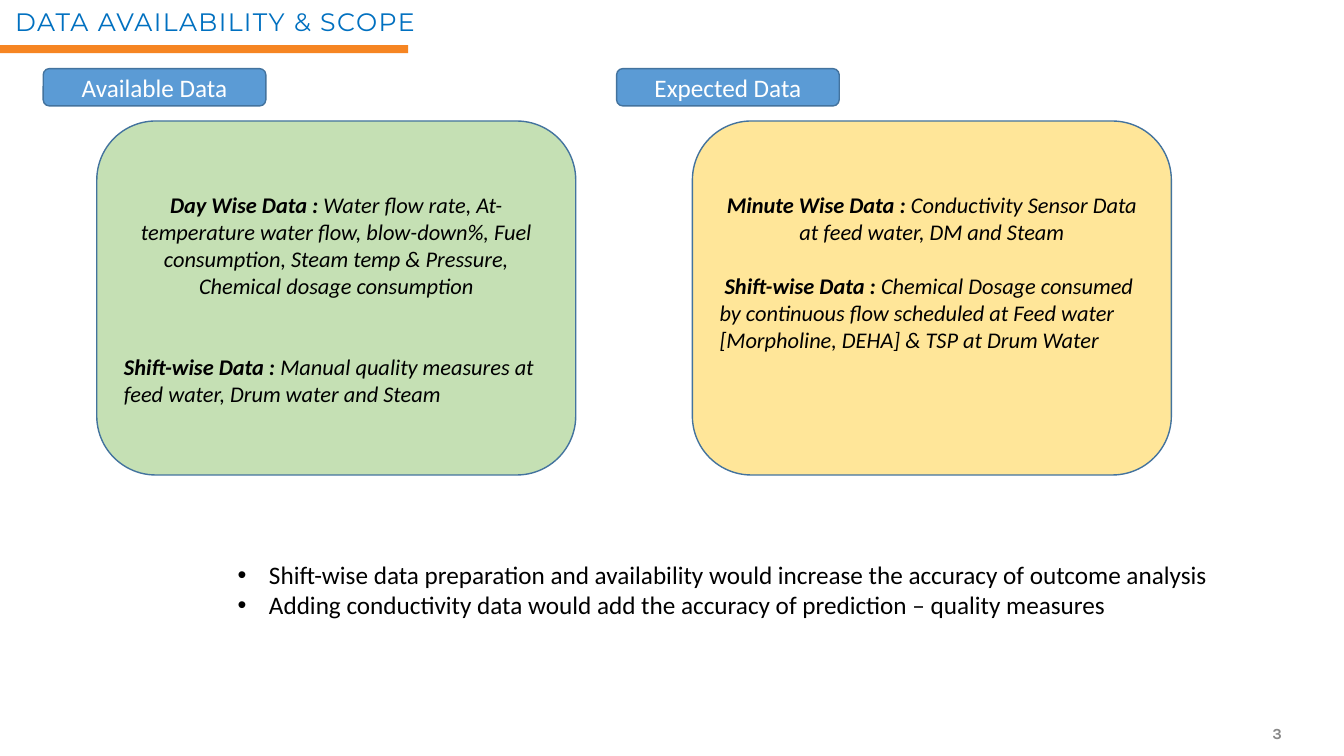
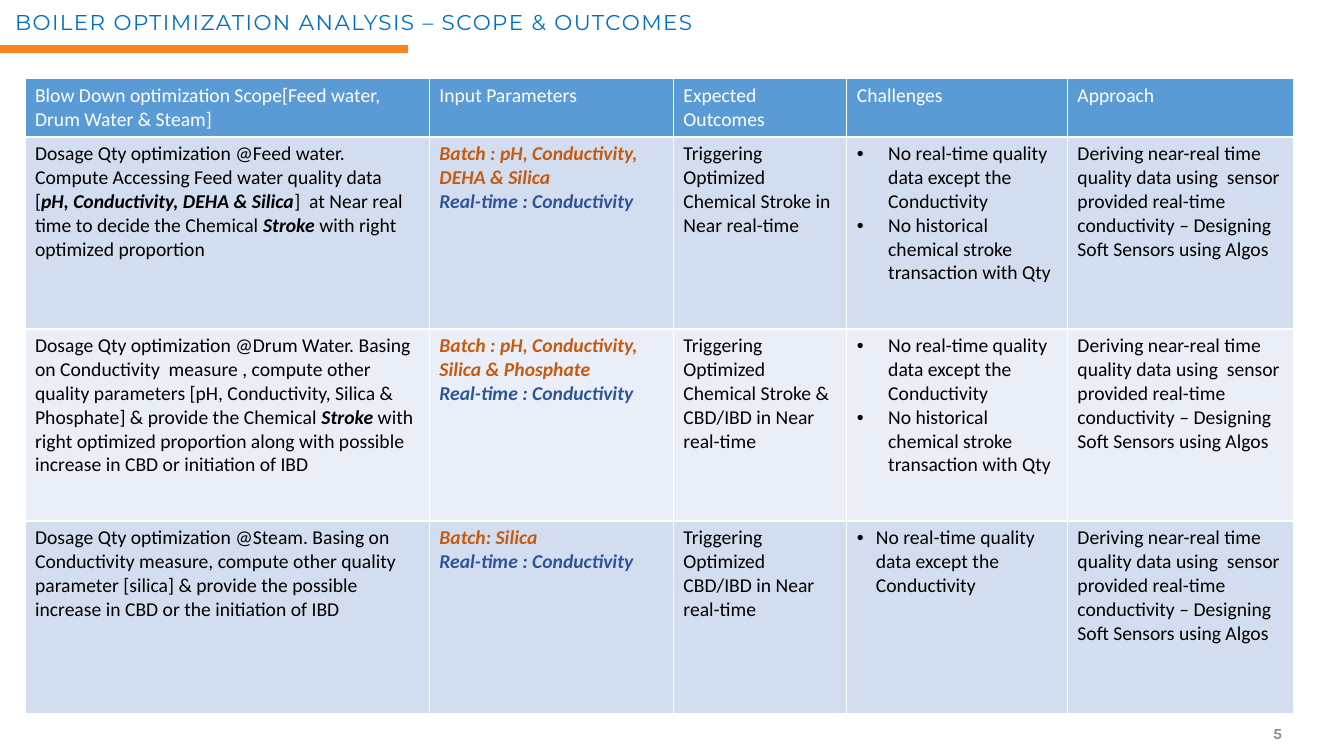
"""Build two slides on boiler data availability and optimization scope."""
from lxml import etree
from pptx import Presentation
from pptx import util as u
from pptx.dml.color import RGBColor
from pptx.enum import shapes, text
from pptx.oxml.ns import qn

HUES = {"blue": "0070C0", "band": "F68522", "gray": "888888", "edge": "43739E",
        "head": "5B9BD5", "green": "C5E0B4", "gold": "FFE699", "black": "000000",
        "white": "FFFFFF", "rust": "C55A11", "navy": "2F5597",
        "dark": "D2DEEF", "light": "EAEFF7"}
LOOKS = {"plain": ("black", False, False), "ital": ("black", False, True),
         "strong": ("black", True, True), "head": ("white", False, False),
         "batch": ("rust", True, True), "live": ("navy", True, True),
         "page": ("gray", True, False), "title": ("blue", False, False)}
LEFT, MID, RIGHT = text.PP_ALIGN.LEFT, text.PP_ALIGN.CENTER, text.PP_ALIGN.RIGHT

PANELS = [
    ("Available Data", 1.09, 2.44, "green", 39, [
        [("Day Wise Data :", "strong"),
         (" Water flow rate, At-temperature water flow, blow-down%, Fuel consumption, "
          "Steam temp & Pressure, Chemical dosage consumption", "ital")],
        [("Shift-wise Data : ", "strong"),
         ("Manual quality measures at feed water, Drum water and Steam", "ital")]]),
    ("Expected Data", 15.54, 17.45, "gold", 19.5, [
        [("Minute Wise Data :", "strong"),
         (" Conductivity Sensor Data at feed water, DM and Steam", "ital")],
        [(" Shift-wise Data : ", "strong"),
         ("Chemical Dosage consumed by continuous flow scheduled at Feed water "
          "[Morpholine, DEHA] & TSP at Drum Water", "ital")]]),
]
NOTES = ["Shift-wise data preparation and availability would increase the accuracy of outcome analysis",
         "Adding conductivity data would add the accuracy of prediction – quality measures"]

HEADS = ["Blow Down optimization Scope[Feed water, Drum Water & Steam]",
         "Input Parameters", "Expected Outcomes", "Challenges", "Approach"]
LIVE = "Real-time : Conductivity"
GAPS = ["No real-time quality data except the Conductivity",
        "No historical chemical stroke transaction with Qty"]
PLAN = ("Deriving near-real time quality data using  sensor provided real-time "
        "conductivity – Designing Soft Sensors using Algos")
ROWS = [
    ([("Dosage Qty optimization @Feed water. Compute Accessing Feed water quality data [", "plain"),
      ("pH, Conductivity, DEHA & Silica", "strong"),
      ("]  at Near real time to decide the Chemical ", "plain"),
      ("Stroke", "strong"), (" with right optimized proportion", "plain")],
     "Batch : pH, Conductivity, DEHA & Silica",
     "Triggering Optimized Chemical Stroke in Near real-time", GAPS, 0.79),
    ([("Dosage Qty optimization @Drum Water. Basing on Conductivity  measure , compute other "
       "quality parameters [pH, Conductivity, Silica & Phosphate] & provide the Chemical ", "plain"),
      ("Stroke", "strong"),
      (" with right optimized proportion along with possible increase in CBD "
       "or initiation of IBD", "plain")],
     "Batch : pH, Conductivity, Silica & Phosphate",
     "Triggering Optimized Chemical Stroke & CBD/IBD in Near real-time", GAPS, 0.79),
    ([("Dosage Qty optimization @Steam. Basing on Conductivity measure, compute other quality "
       "parameter [silica] & provide the possible increase in CBD or the initiation of IBD", "plain")],
     "Batch: Silica", "Triggering Optimized CBD/IBD in Near real-time", GAPS[:1], 0.48),
]
WIDTHS = [10.19, 6.15, 4.37, 5.56, 5.69]
HEAD_H, ROW_H = 1.47, 4.84


def hue(name):
    return RGBColor.from_string(HUES[name])


def place(*nums):
    return [u.Cm(n) for n in nums]


def write(frame, paras, size, face="Calibri", align=LEFT, dent=0):
    """Fill a text frame with paragraphs of (text, look) runs."""
    frame.word_wrap = True
    for i, runs in enumerate(paras):
        para = frame.paragraphs[0] if i == 0 else frame.add_paragraph()
        para.alignment = align
        for words, look in runs:
            run = para.add_run()
            run.text = words
            tone, run.font.bold, run.font.italic = LOOKS[look]
            run.font.size, run.font.name = u.Pt(size), face
            run.font.color.rgb = hue(tone)
        if dent:
            props = para._p.get_or_add_pPr()
            props.set("marL", str(u.Cm(dent)))
            props.set("indent", str(-u.Cm(dent)))
            etree.SubElement(props, qn("a:buFont")).set("typeface", "Arial")
            etree.SubElement(props, qn("a:buChar")).set("char", "•")


def shape(slide, kind, box, fill, edge=None):
    item = slide.shapes.add_shape(kind, *place(*box))
    item.shadow.inherit = False
    item.fill.solid()
    item.fill.fore_color.rgb = hue(fill)
    if edge:
        item.line.color.rgb = hue(edge)
        item.line.width = u.Pt(1)
    else:
        item.line.fill.background()
    return item


def start(deck, title, size, lead, page):
    """Add a slide with the shared title, band and page number."""
    slide = deck.slides.add_slide(deck.slide_layouts[5])
    head = slide.shapes.title
    head.left, head.top, head.width, head.height = place(-0.08, 0.1, 18.3, 1.04)
    frame = head.text_frame
    frame.auto_size = text.MSO_AUTO_SIZE.NONE
    frame.vertical_anchor = text.MSO_ANCHOR.MIDDLE
    frame.margin_left = u.Cm(0.46)
    write(frame, [[(title, "title")]], size, "Montserrat")
    para = frame.paragraphs[0]
    para.line_spacing = lead
    para.runs[0]._r.get_or_add_rPr().set("spc", "100")
    shape(slide, shapes.MSO_SHAPE.RECTANGLE, (0, 1.14, 10.29, 0.2), "band")
    foot = slide.shapes.add_textbox(*place(24.66, 17.98, 7.9, 1.02)).text_frame
    foot.vertical_anchor = text.MSO_ANCHOR.MIDDLE
    write(foot, [[(page, "page")]], 11, "Karla", RIGHT)
    return slide


def data(deck):
    slide = start(deck, "DATA AVAILABILITY & SCOPE", 18, 0.8, "3")
    round_box = shapes.MSO_SHAPE.ROUNDED_RECTANGLE
    for name, tag_x, box_x, fill, gap, paras in PANELS:
        frame = shape(slide, round_box, (box_x, 3.05, 12.07, 8.92), fill, "edge").text_frame
        frame.vertical_anchor = text.MSO_ANCHOR.TOP
        frame.margin_top = u.Cm(1.33)
        write(frame, paras, 16)
        frame.paragraphs[0].alignment = MID
        frame.paragraphs[1].space_before = u.Pt(gap)
        tag = shape(slide, round_box, (tag_x, 1.73, 5.61, 0.94), "head", "edge").text_frame
        tag.vertical_anchor = text.MSO_ANCHOR.MIDDLE
        write(tag, [[(name, "head")]], 18, align=MID)
    notes = slide.shapes.add_textbox(*place(5.74, 13.97, 25.27, 1.8)).text_frame
    write(notes, [[(n, "plain")] for n in NOTES], 18, dent=0.79)


def cell_fill(cell, fill):
    props = cell._tc.get_or_add_tcPr()
    for side in ("lnL", "lnR", "lnT", "lnB"):
        line = etree.SubElement(props, qn("a:" + side), w=str(u.Pt(1)))
        ink = etree.SubElement(line, qn("a:solidFill"))
        etree.SubElement(ink, qn("a:srgbClr")).set("val", HUES["white"])
    cell.fill.solid()
    cell.fill.fore_color.rgb = hue(fill)


def scope(deck):
    slide = start(deck, "BOILER OPTIMIZATION ANALYSIS – SCOPE & OUTCOMES", 15.3, 0.7, "5")
    box = place(0.63, 1.98, sum(WIDTHS), HEAD_H + ROW_H * len(ROWS))
    grid = slide.shapes.add_table(len(ROWS) + 1, len(WIDTHS), *box).table
    grid.first_row = grid.horz_banding = False
    for col, width in zip(grid.columns, WIDTHS):
        col.width = u.Cm(width)
    for i, row in enumerate(grid.rows):
        row.height = u.Cm(ROW_H if i else HEAD_H)
    lines = [("head", [([[(h, "head")]], 0) for h in HEADS])]
    for i, (aim, batch, goal, gaps, dent) in enumerate(ROWS):
        lines.append(("light" if i % 2 else "dark", [
            ([aim], 0),
            ([[(batch, "batch")], [(LIVE, "live")]], 0),
            ([[(goal, "plain")]], 0),
            ([[(g, "plain")] for g in gaps], dent),
            ([[(PLAN, "plain")]], 0)]))
    for r, (fill, cells) in enumerate(lines):
        for c, (paras, dent) in enumerate(cells):
            cell = grid.cell(r, c)
            cell_fill(cell, fill)
            write(cell.text_frame, paras, 14, dent=dent)


def main():
    deck = Presentation()
    deck.slide_width, deck.slide_height = place(33.87, 19.05)
    data(deck)
    scope(deck)
    deck.save("out.pptx")


if __name__ == "__main__":
    main()
